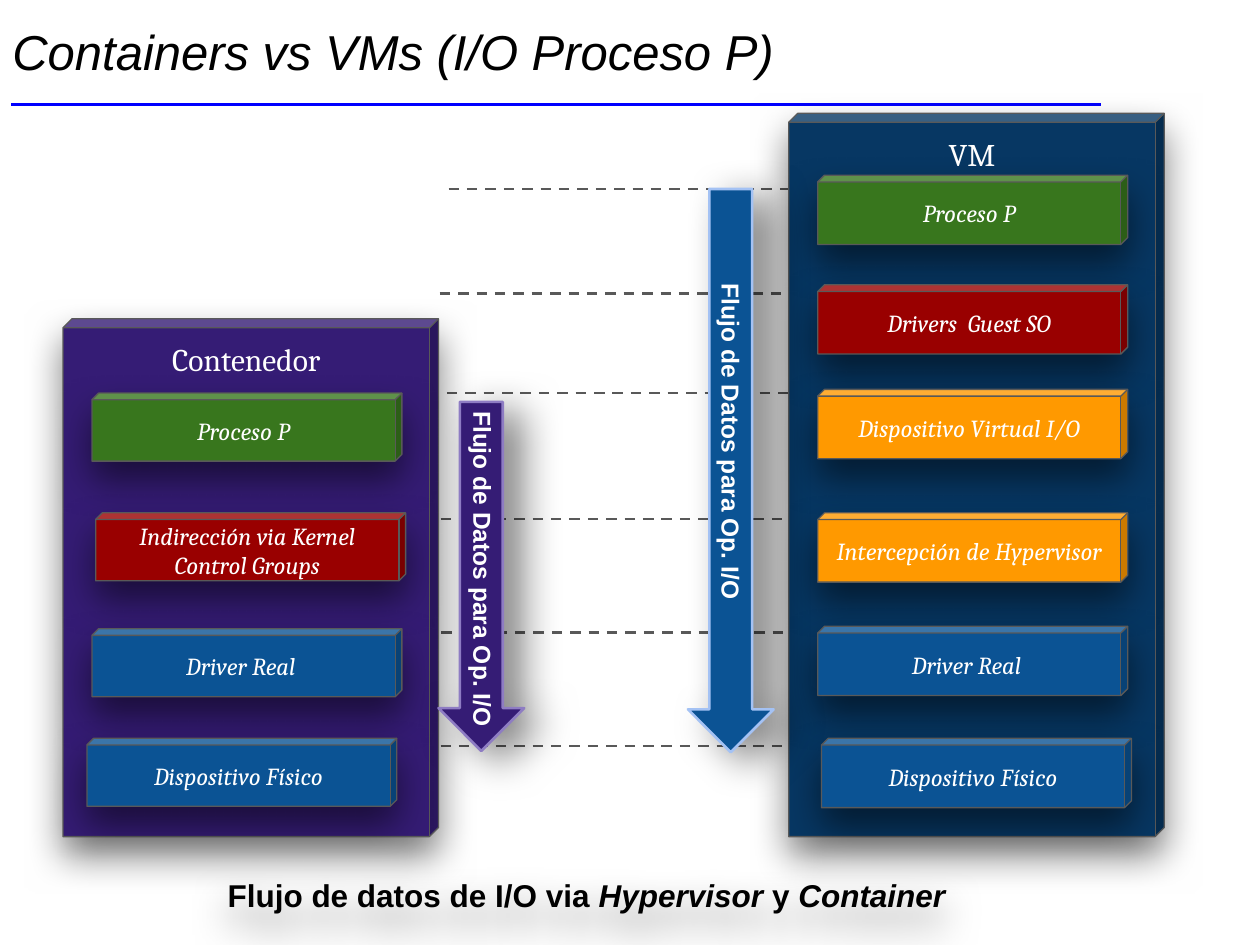
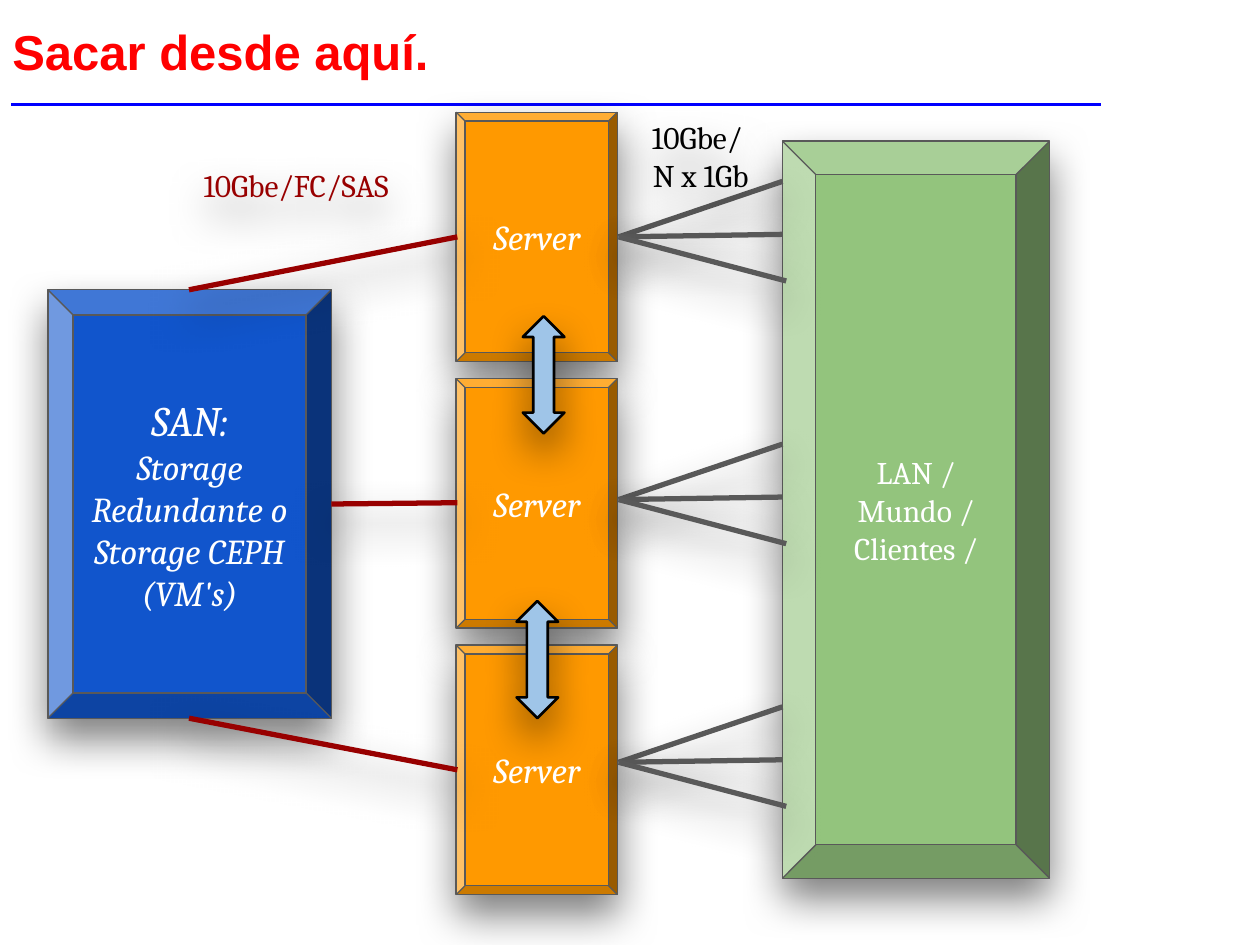
import lxml.etree
import pptx
import pptx.dml.color
import pptx.enum.dml
import pptx.enum.shapes
import pptx.enum.text
import pptx.oxml.ns
import pptx.util

Inches = pptx.util.Inches
Pt = pptx.util.Pt
SHAPE = pptx.enum.shapes.MSO_SHAPE
ANCHOR = pptx.enum.text.MSO_ANCHOR
ALIGN = pptx.enum.text.PP_ALIGN

COLORS = {
    "white": "FFFFFF", "black": "000000", "rule": "0000FF", "gray": "595959",
    "red": "FF0000", "crimson": "990000", "link": "980000", "orange": "FF9900",
    "navy": "073763", "blue": "0B5394", "pale_blue": "A4C2F4",
    "purple": "351C75", "lilac": "8E7CC3", "green": "38761D",
    "san": "1155CC", "lan": "93C47D", "sky": "9FC5E8",
}
CUBE_SHADOW = (21.4, 10.5, 90)
ARROW_SHADOW = (23.6, 12, 30)
SOFT_SHADOW = (23.6, 11.2, 90)
FLOW_LABEL = "Flujo de Datos para Op. I/O"


def rgb(name):
    """Return the named colour."""
    return pptx.dml.color.RGBColor.from_string(COLORS[name])


def set_shadow(shape, shadow):
    """Give a shape an outer shadow of (blur, distance, angle), or none at all."""
    qn = pptx.oxml.ns.qn
    effects = lxml.etree.SubElement(shape._element.spPr, qn("a:effectLst"))
    if shadow:
        blur, distance, angle = shadow
        outer = lxml.etree.SubElement(
            effects, qn("a:outerShdw"), blurRad=str(int(Pt(blur))),
            dist=str(int(Pt(distance))), dir=str(angle * 60000),
            algn="bl", rotWithShape="0")
        color = lxml.etree.SubElement(outer, qn("a:srgbClr"), val=COLORS["black"])
        lxml.etree.SubElement(color, qn("a:alpha"), val="50000")


def write(shape, paragraphs, anchor, align=ALIGN.CENTER):
    """Fill a shape with paragraphs of (text, size, font, colour, style) runs."""
    frame = shape.text_frame
    frame.word_wrap = True
    frame.vertical_anchor = anchor
    frame.margin_left = frame.margin_right = Inches(0.1)
    frame.margin_top = frame.margin_bottom = Inches(0.1)
    for index, runs in enumerate(paragraphs):
        para = frame.add_paragraph() if index else frame.paragraphs[0]
        para.alignment = align
        for text, size, font, color, style in runs:
            span = para.add_run()
            span.text = text
            span.font.size = Pt(size)
            span.font.name = font
            span.font.color.rgb = rgb(color)
            span.font.bold = "b" in style
            span.font.italic = "i" in style


def add_text(page, frame, paragraphs, anchor=ANCHOR.MIDDLE, align=ALIGN.CENTER,
             shadow=None, rotation=0):
    """Add a text box."""
    box = page.shapes.add_textbox(*map(Inches, frame))
    box.rotation = rotation
    write(box, paragraphs, anchor, align)
    if shadow:
        set_shadow(box, shadow)


def add_block(page, kind, frame, fill, shadow, adjustments, paragraphs=(),
              anchor=ANCHOR.MIDDLE, outline=("gray", 0.75)):
    """Add a filled, outlined and shadowed preset shape."""
    block = page.shapes.add_shape(kind, *map(Inches, frame))
    for index, value in enumerate(adjustments):
        block.adjustments[index] = value
    block.fill.solid()
    block.fill.fore_color.rgb = rgb(fill)
    block.line.color.rgb = rgb(outline[0])
    block.line.width = Pt(outline[1])
    set_shadow(block, shadow)
    write(block, paragraphs, anchor)


def add_line(page, start, end, color, width, dashed=False, shadow=None):
    """Add a straight line between two points."""
    line = page.shapes.add_connector(
        pptx.enum.shapes.MSO_CONNECTOR.STRAIGHT, *map(Inches, start + end))
    line.line.color.rgb = rgb(color)
    line.line.width = Pt(width)
    if dashed:
        line.line.dash_style = pptx.enum.dml.MSO_LINE.DASH
    set_shadow(line, shadow)


def add_page(deck):
    """Add a blank page with the rule under its title."""
    page = deck.slides.add_slide(deck.slide_layouts[6])
    add_line(page, (0.09, 0.83), (8.74, 0.83), "rule", 1.5)
    return page


def add_title(page, text, color, style):
    """Add the page title."""
    add_text(page, (0, 0.07, 9.32, 0.83), [[(text, 28, "Arial", color, style)]],
             ANCHOR.TOP, ALIGN.LEFT)


def add_stack(page, name, frame, fill, height, layers):
    """Add a tall cube with its layers, each (left, top, text, colour)."""
    add_block(page, SHAPE.CUBE, frame, fill, CUBE_SHADOW, [0.024],
              [[(name, 18, "Cambria", "white", "")]], ANCHOR.TOP)
    for left, top, text, color in layers:
        add_block(page, SHAPE.CUBE, (left, top, 2.46, height), color, CUBE_SHADOW,
                  [0.098], [[(text, 14, "Cambria", "white", "i")]])


def add_flow_arrow(page, frame, fill, outline):
    """Add a downward data flow arrow."""
    add_block(page, SHAPE.DOWN_ARROW, frame, fill, ARROW_SHADOW, [0.5, 0.5],
              outline=(outline, 1.5))


def add_flow_label(page, left, top):
    """Add the rotated label of a data flow arrow."""
    add_text(page, (left, top, 2.81, 0.29),
             [[(FLOW_LABEL, 14, "Arial", "white", "b")]], rotation=90)


def build_comparison(deck):
    """Build the page comparing containers and virtual machines."""
    page = add_page(deck)
    for left, right, top in [(3.56, 8.05, 1.5), (3.49, 7.98, 2.33),
                             (1.94, 7.77, 3.12), (1.89, 7.72, 4.12),
                             (1.89, 7.72, 5.92), (1.75, 7.57, 5.02)]:
        add_line(page, (left, top), (right, top), "gray", 1.5, dashed=True)
    add_title(page, "Containers vs VMs (I/O Proceso P)", "black", "i")
    add_text(page, (1.28, 6.85, 6.75, 0.53), [[
        (text, 18, "Arial", "black", style) for text, style in [
            ("Flujo de datos de I/O via ", "b"), ("Hypervisor", "bi"),
            (" y ", "b"), ("Container", "bi")]
    ]], ANCHOR.TOP, shadow=CUBE_SHADOW)
    add_stack(page, "VM", (6.26, 0.9, 2.98, 5.74), "navy", 0.55, [
        (6.49, 1.39, "Proceso P", "green"),
        (6.49, 2.26, "Drivers  Guest SO", "crimson"),
        (6.49, 3.09, "Dispositivo Virtual I/O", "orange"),
        (6.49, 4.07, "Intercepción de Hypervisor", "orange"),
        (6.49, 4.97, "Driver Real ", "blue"),
        (6.52, 5.86, "Dispositivo Físico", "blue"),
    ])
    add_flow_arrow(page, (5.46, 1.5, 0.68, 4.47), "blue", "pale_blue")
    add_flow_label(page, 4.4, 3.36)
    add_stack(page, "Contenedor", (0.5, 2.53, 2.98, 4.11), "purple", 0.54, [
        (0.73, 3.12, "Proceso P", "green"),
        (0.76, 4.07, "Indirección via Kernel Control Groups", "crimson"),
        (0.73, 4.99, "Driver Real ", "blue"),
        (0.69, 5.86, "Dispositivo Físico", "blue"),
    ])
    add_flow_arrow(page, (3.48, 3.19, 0.68, 2.77), "purple", "lilac")
    add_flow_label(page, 2.43, 4.37)


def build_network(deck):
    """Build the page linking storage, servers and network."""
    page = add_page(deck)
    add_title(page, "Sacar desde aquí.", "red", "b")
    san_lines = [("SAN:", 24), ("Storage Redundante o", 20),
                 ("Storage CEPH", 20), ("(VM's)", 20)]
    add_block(page, SHAPE.BEVEL, (0.38, 2.3, 2.25, 3.4), "san", SOFT_SHADOW, [0.089],
              [[(text, size, "Cambria", "white", "i")] for text, size in san_lines])
    add_block(page, SHAPE.BEVEL, (6.21, 1.12, 2.12, 5.85), "lan", SOFT_SHADOW, [0.125],
              [[(text, 18, "Cambria", "white", "")]
               for text in ("LAN / Mundo /", "Clientes /")])
    for row in range(3):
        add_block(page, SHAPE.BEVEL, (3.62, 0.89 + 2.115 * row, 1.28, 1.98), "orange",
                  SOFT_SHADOW, [0.055], [[("Server", 20, "Cambria", "white", "i")]])
    for start, end in [((1.5, 2.3), (3.63, 1.88)), ((2.63, 4), (3.63, 3.99)),
                       ((1.5, 5.7), (3.63, 6.11))]:
        add_line(page, start, end, "link", 3, shadow=SOFT_SHADOW)
    for row in range(3):
        hub = 1.88 + 2.085 * row
        for right, drop in [(6.21, -0.44), (6.21, -0.02), (6.24, 0.35)]:
            add_line(page, (4.91, hub), (right, hub + drop), "gray", 3,
                     shadow=SOFT_SHADOW)
    add_text(page, (1.29, 1.12, 2.12, 0.69),
             [[("10Gbe/FC/SAS", 18, "Cambria", "link", "")]], shadow=SOFT_SHADOW)
    add_text(page, (4.5, 0.89, 2.12, 0.69),
             [[(text, 18, "Cambria", "black", "")] for text in ("10Gbe/ ", "N x 1Gb")],
             shadow=SOFT_SHADOW)
    for left, top in [(4.1, 4.77), (4.15, 2.51)]:
        add_block(page, SHAPE.UP_DOWN_ARROW, (left, top, 0.33, 0.93), "sky",
                  SOFT_SHADOW, [0.5, 0.5], outline=("black", 1.5))


def main():
    """Build and save the deck."""
    deck = pptx.Presentation()
    deck.slide_width = Inches(10)
    deck.slide_height = Inches(7.5)
    build_comparison(deck)
    build_network(deck)
    deck.save("out.pptx")


if __name__ == "__main__":
    main()
